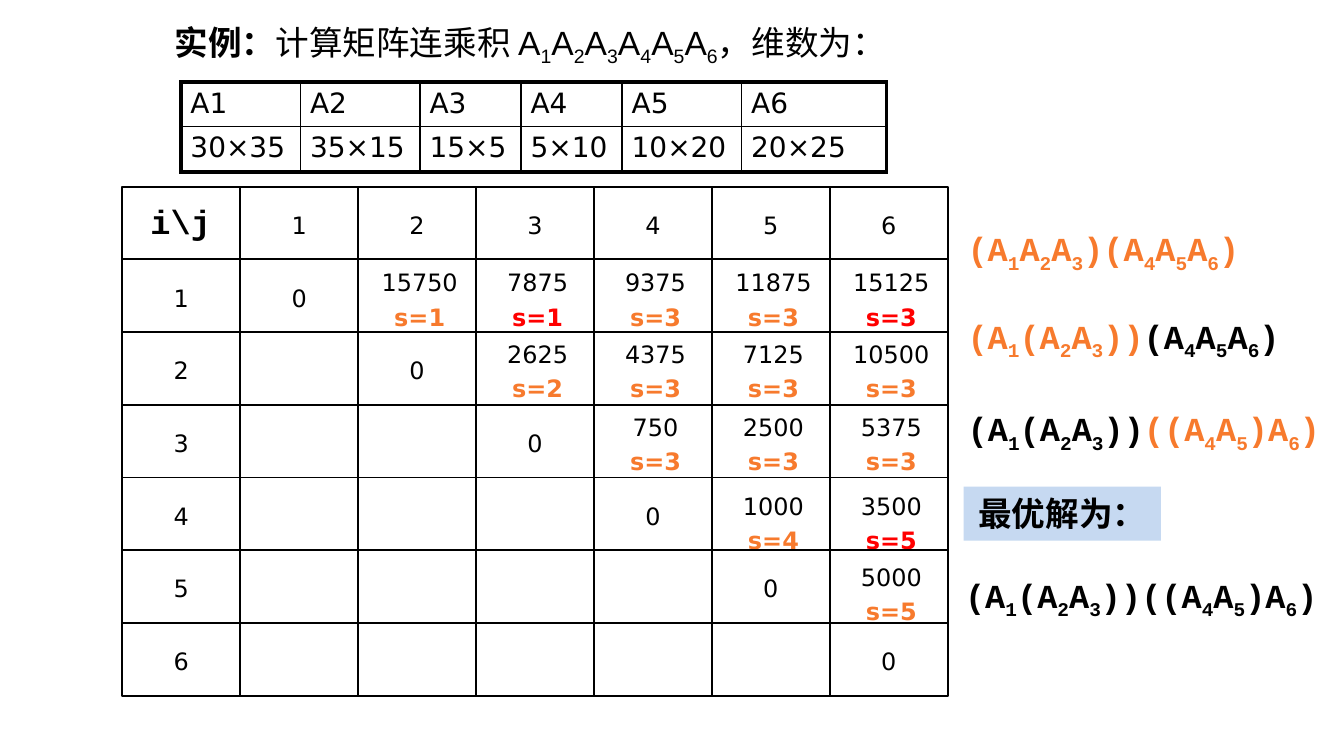
from itertools import groupby
from lxml.etree import SubElement as Sub
from pptx import Presentation
from pptx.dml.color import RGBColor as RGB
from pptx.enum.shapes import MSO_CONNECTOR as LINK, MSO_SHAPE as SHAPE
from pptx.enum.text import MSO_ANCHOR as ANCHOR, MSO_AUTO_SIZE as AUTO, PP_ALIGN as ALIGN
from pptx.oxml.ns import qn
from pptx.util import Cm, Pt

INK = {"black": "000000", "white": "FFFFFF", "orange": "F77A2D",
       "red": "FF0000", "blue": "C6D9F1"}
SANS, MONO, HAN, LATIN = "DejaVu Sans", "Courier New", "Noto Sans CJK SC", "Arial"
DIMS = {"A1": "30×35", "A2": "35×15", "A3": "15×5",
        "A4": "5×10", "A5": "10×20", "A6": "20×25"}
COSTS = {
    1: [(15750, 1), (7875, 1), (9375, 3), (11875, 3), (15125, 3)],
    2: [(2625, 2), (4375, 3), (7125, 3), (10500, 3)],
    3: [(750, 3), (2500, 3), (5375, 3)],
    4: [(1000, 4), (3500, 5)],
    5: [(5000, 5)],
}
DROPS = {1: 0.12, 2: 0.1, 3: 0.1, 4: 0.22, 5: 0.19}
KEYS = {(1, 3), (1, 6), (4, 6)}
STEPS = [
    ((17.91, 4.19, 5.89, 1.02), [("(A1A2A3)(A4A5A6)", "orange")]),
    ((17.91, 5.84, 6.65, 1.02), [("(A1(A2A3))", "orange"), ("(A4A5A6)", "black")]),
    ((17.91, 7.59, 7.42, 1.02), [("(A1(A2A3))", "black"), ("((A4A5)A6)", "orange")]),
    ((17.86, 10.74, 7.42, 1.02), [("(A1(A2A3))((A4A5)A6)", "black")]),
]


def paint(name):
    return RGB.from_string(INK[name])


def write(para, text, size, face, ink="black", bold=False):
    run = para.add_run()
    run.text = text
    font = run.font
    font.size, font.name, font.bold = Pt(size), face, bold
    font.color.rgb = paint(ink)
    Sub(run._r.get_or_add_rPr(), qn("a:ea"), typeface=HAN)
    return run


def write_math(para, text, face, ink="black", bold=False):
    for low, part in groupby(text, str.isdigit):
        run = write(para, "".join(part), 18, face, ink, bold)
        if low:
            run._r.get_or_add_rPr().set("baseline", "-25000")


def place(shape, box):
    shape.left, shape.top, shape.width, shape.height = map(Cm, box)


def draw_edges(cell, widths):
    props = cell._tc.get_or_add_tcPr()
    for side, width in zip("LRTB", widths):
        edge = Sub(props, qn(f"a:ln{side}"), w=str(Pt(width)))
        fill = Sub(edge, qn("a:solidFill"))
        Sub(fill, qn("a:srgbClr"), val=INK["black"])
    cell.fill.background()


def add_title(slide, box):
    title = slide.shapes.title
    place(title, box)
    frame = title.text_frame
    frame.auto_size, frame.word_wrap = AUTO.NONE, True
    frame.vertical_anchor = ANCHOR.TOP
    frame.margin_left = frame.margin_right = frame.margin_top = frame.margin_bottom = 0
    para = frame.paragraphs[0]
    para.alignment = ALIGN.JUSTIFY
    write(para, "实例：", 18, HAN, bold=True)
    write(para, "计算矩阵连乘积 ", 18, HAN)
    write_math(para, "A1A2A3A4A5A6", LATIN)
    write(para, "，", 18, LATIN)
    write(para, "维数为：", 18, HAN)


def add_dims(slide, box):
    table = slide.shapes.add_table(2, len(DIMS), *map(Cm, box)).table
    table.first_row = table.horz_banding = False
    for col, wide in zip(table.columns, [2.26, 2.26, 1.91, 1.91, 2.26, 2.74]):
        col.width = Cm(wide)
    for row, high in zip(table.rows, [0.84, 0.86]):
        row.height = Cm(high)
    last = len(DIMS) - 1
    for c, pair in enumerate(DIMS.items()):
        for r, text in enumerate(pair):
            cell = table.cell(r, c)
            cell.margin_left = cell.margin_right = Cm(0.18)
            cell.margin_top = cell.margin_bottom = Cm(0.1)
            write(cell.text_frame.paragraphs[0], text, 15, SANS)
            outer = (c == 0, c == last, r == 0, r == 1)
            draw_edges(cell, [2.25 if thick else 1 for thick in outer])


def start(frame):
    frame.word_wrap, frame.vertical_anchor = True, ANCHOR.MIDDLE
    frame.margin_top, frame.margin_bottom = Cm(0.07), 0
    para = frame.paragraphs[0]
    para.alignment = ALIGN.CENTER
    return para


def add_cell(slide, box, text, filled):
    cell = slide.shapes.add_shape(SHAPE.RECTANGLE, *map(Cm, box))
    cell.shadow.inherit = False
    if filled:
        cell.fill.solid()
        cell.fill.fore_color.rgb = paint("white")
    else:
        cell.fill.background()
    cell.line.color.rgb, cell.line.width = paint("black"), Pt(1)
    if text:
        write(start(cell.text_frame), text, 12.8, SANS)


def add_cost(slide, box, cost, split, ink):
    frame = slide.shapes.add_textbox(*map(Cm, box)).text_frame
    write(start(frame), str(cost), 12.8, SANS)
    para = frame.add_paragraph()
    para.alignment, para.space_before = ALIGN.CENTER, Pt(3)
    write(para, f"s={split}", 12.8, SANS, ink, True)


def add_rule(slide, *ends):
    rule = slide.shapes.add_connector(LINK.STRAIGHT, *map(Cm, ends))
    rule.line.color.rgb, rule.line.width = paint("black"), Pt(1)
    Sub(rule._element.spPr, qn("a:effectLst"))


def add_costs(slide, box):
    left, top, width, height = box
    count = len(DIMS) + 1
    wide, high = width / count, height / count
    for i in range(count):
        for j in range(count):
            x, y = left + j * wide, top + i * high
            if 0 < i < j:
                ink = "red" if (i, j) in KEYS else "orange"
                spot = (x + 0.05, y + DROPS[i], wide, 1.2)
                add_cost(slide, spot, *COSTS[i][j - i - 1], ink)
            else:
                head = (i == 0) != (j == 0)
                inner = i == j > 0
                text = str(i + j) if head else "0" if inner else ""
                add_cell(slide, (x, y, wide, high), text, inner)
    for k in range(1, count + 1):
        x, y = left + k * wide, top + k * high
        add_rule(slide, x, top + high, x, top + height)
        add_rule(slide, left + wide, y, left + width, y)
    corner = (left + 0.28, top + 0.15, 1.65, 1.02)
    add_step(slide, corner, [("i\\j", "black")])


def add_step(slide, box, parts):
    frame = slide.shapes.add_textbox(*map(Cm, box)).text_frame
    frame.word_wrap = False
    para = frame.paragraphs[0]
    para.alignment = ALIGN.CENTER
    for text, ink in parts:
        write_math(para, text, MONO, ink, True)


def add_note(slide, box):
    note = slide.shapes.add_shape(SHAPE.RECTANGLE, *map(Cm, box))
    note.shadow.inherit = False
    note.fill.solid()
    note.fill.fore_color.rgb = paint("blue")
    note.line.fill.background()
    frame = note.text_frame
    frame.word_wrap, frame.vertical_anchor = False, ANCHOR.TOP
    para = frame.paragraphs[0]
    para.alignment = ALIGN.CENTER
    write(para, "最优解为：", 18, HAN, bold=True)


def main():
    deck = Presentation()
    deck.slide_width, deck.slide_height = Cm(25.4), Cm(14.29)
    slide = deck.slides.add_slide(deck.slide_layouts.get_by_name("Title Only"))
    add_title(slide, (3.3, 0.41, 14.12, 0.76))
    add_dims(slide, (3.42, 1.55, 13.34, 1.7))
    add_costs(slide, (2.31, 3.53, 15.6, 9.62))
    for box, parts in STEPS:
        add_step(slide, box, parts)
    add_note(slide, (18.21, 9.2, 3.73, 1.02))
    deck.save("out.pptx")


if __name__ == "__main__":
    main()
